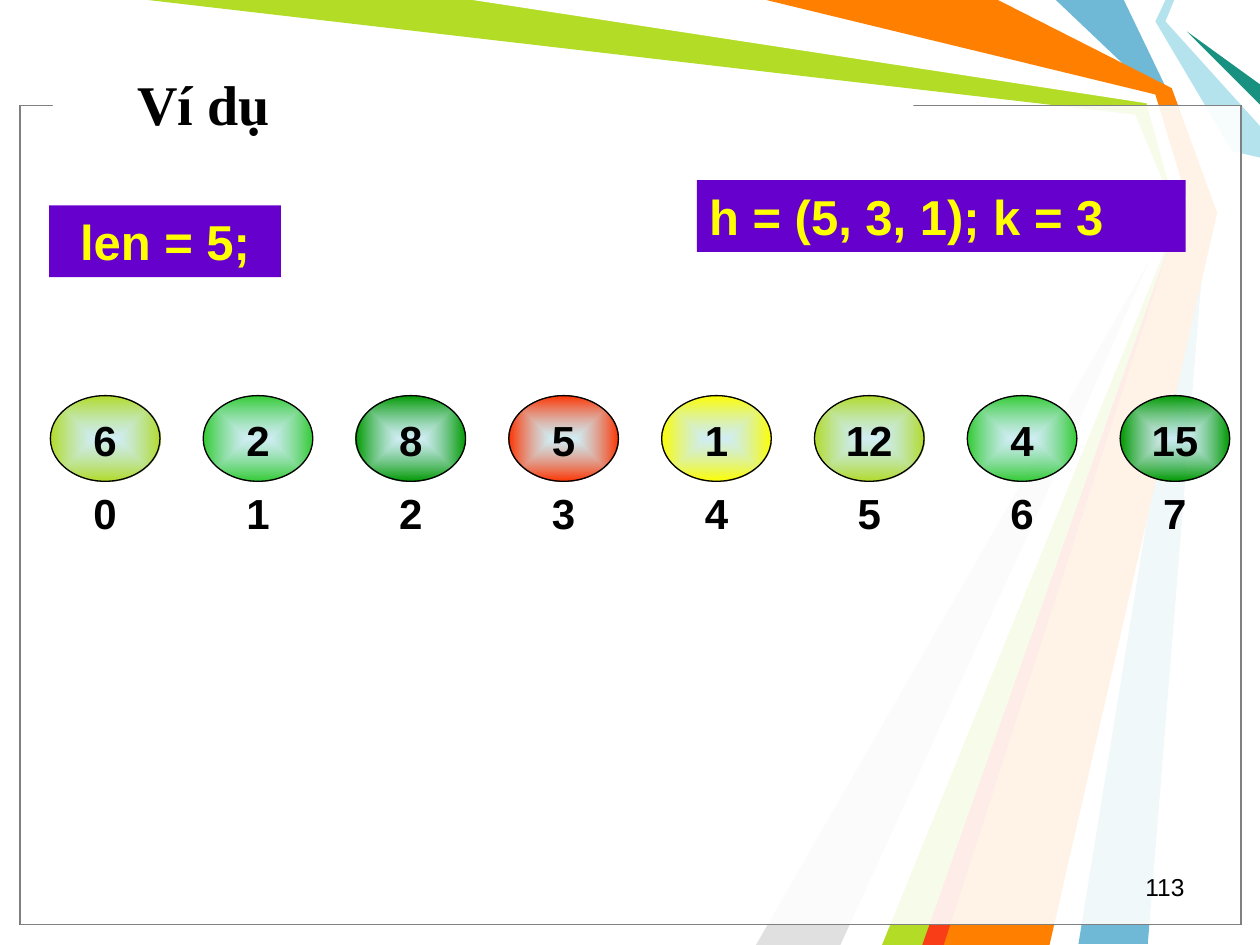
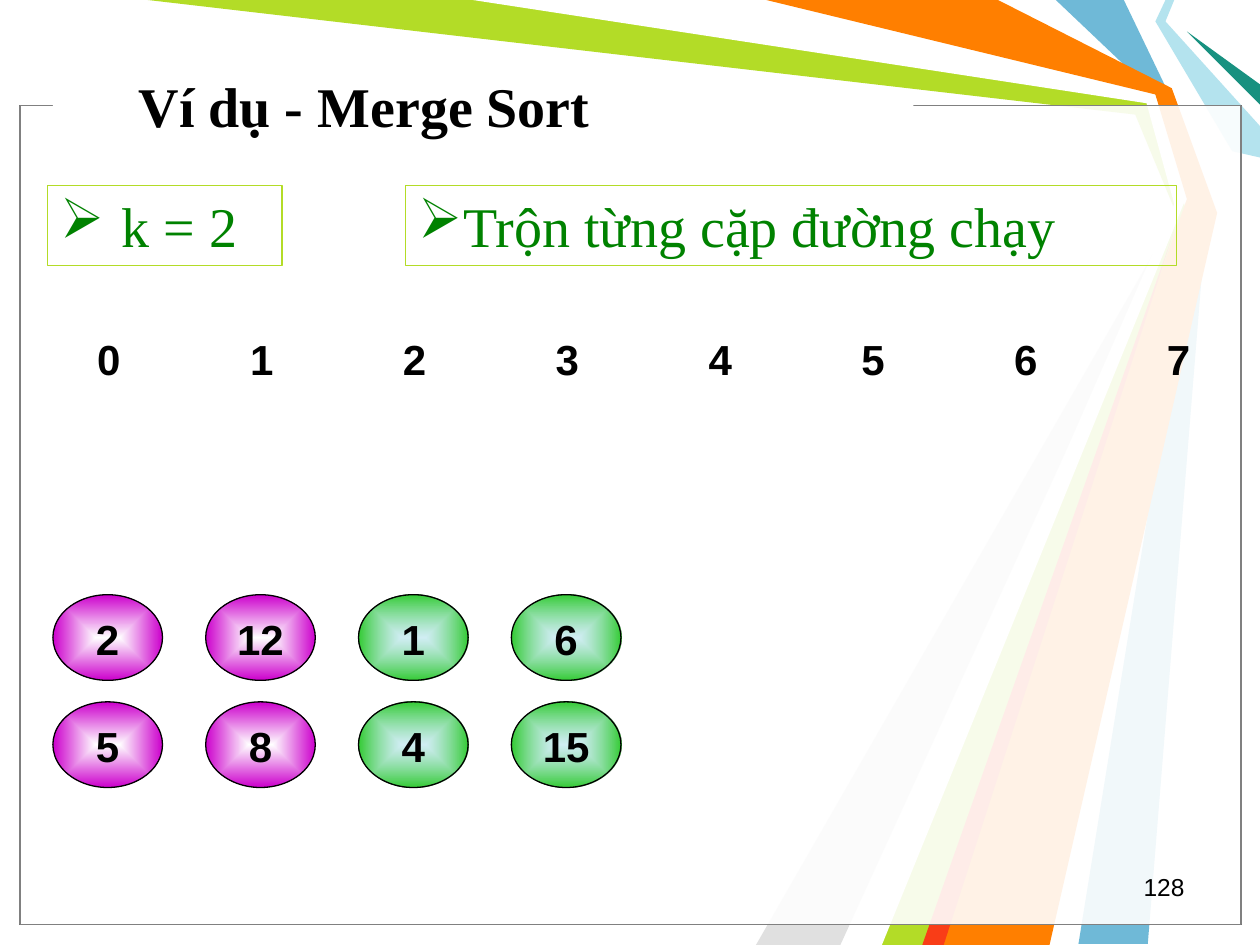
from lxml import etree
from pptx import Presentation, util as u
from pptx.dml.color import RGBColor
from pptx.enum import shapes as kinds, text
from pptx.oxml.ns import qn

rgb = RGBColor.from_string
SANS, SERIF = "Arial", "Times New Roman"
RECT, OVAL = kinds.MSO_SHAPE.RECTANGLE, kinds.MSO_SHAPE.OVAL
LEFT, MID, RIGHT = text.PP_ALIGN.LEFT, text.PP_ALIGN.CENTER, text.PP_ALIGN.RIGHT
WIDE, HIGH = 10, 7.5
STEP = 8.49 / 7  # column pitch of the array
ROW = 0.85
SKY, LIME, GREEN, DARK, PINK = "B4E3EE", "B3DC27", "33CC33", "009900", "CC00CC"

# Rays in hundredths of an inch, from back to front
RAYS = [
    ("6FB9D7", [(892, 0), (929, 77), (958, 167), (911, 749), (856, 749),
                (950, 167), (917, 75), (838, 0)]),
    (LIME, [(117, 0), (383, 0), (914, 78), (942, 169), (742, 750),
            (692, 750), (935, 173), (901, 91)]),
    ("E0E0E0", [(667, 750), (927, 181), (600, 750)]),
    ("FFFFFF", [(375, 0), (910, 82), (932, 162), (675, 750), (700, 750),
                (941, 158), (917, 75), (600, 0)]),
    (SKY, [(925, 0), (917, 17), (978, 120), (1000, 125), (1000, 100),
           (925, 17), (932, 0)]),
    ("189180", [(1000, 83), (942, 25), (1000, 67)]),
    ("FF7F00", [(608, 0), (792, 0), (930, 70), (966, 169), (833, 750),
                (733, 750), (942, 158), (917, 75)]),
    ("F93D17", [(732, 750), (932, 183), (749, 750)]),
]


def block(slide, kind, at, fill=None, line=None, alpha=None, glow=None):
    """Add a shape; glow is the centre colour of a gradient that ends in fill."""
    shape = slide.shapes.add_shape(kind, *map(u.Inches, at))
    shape.shadow.inherit = False
    if glow:
        shape.fill.gradient()
        for stop, tone in zip(shape.fill.gradient_stops, (glow, fill)):
            stop.color.rgb = rgb(tone)
        grad = next(shape.element.iter(qn("a:gradFill")))
        grad.remove(grad.find(qn("a:lin")))
        way = etree.SubElement(grad, qn("a:path"), path="shape")
        etree.SubElement(way, qn("a:fillToRect"), l="50000", t="50000", r="50000", b="50000")
    elif fill:
        shape.fill.solid()
        shape.fill.fore_color.rgb = rgb(fill)
    else:
        shape.fill.background()
    if alpha:
        tone = next(shape.element.iter(qn("a:srgbClr")))
        etree.SubElement(tone, qn("a:alpha"), val=str(alpha * 1000))
    if line:
        shape.line.color.rgb = rgb(line)
        shape.line.width = u.Pt(0.75)
    else:
        shape.line.fill.background()
    return shape


def write(shape, words, size, face=SANS, color="000000", bold=True, align=MID,
          anchor=text.MSO_ANCHOR.TOP, hang=None):
    """Set the text of a shape; hang is the width kept for an arrow bullet."""
    frame = shape.text_frame
    frame.word_wrap = True
    frame.vertical_anchor = anchor
    frame.text = words
    para = frame.paragraphs[0]
    para.alignment = align
    if hang:
        props = para._p.get_or_add_pPr()
        props.set("marL", str(u.Inches(hang)))
        props.set("indent", str(-u.Inches(hang)))
        etree.SubElement(props, qn("a:buChar"), char="➢")
    font = para.font
    font.size, font.name, font.bold = u.Pt(size), face, bold
    font.color.rgb = rgb(color)


deck = Presentation()
deck.slide_width, deck.slide_height = u.Inches(WIDE), u.Inches(HIGH)
plain = deck.slide_layouts[5]
pages = []
for name, num, at in [("Ví dụ", "113", (0.99, 0.47, 6.89, 0.7)),
                      ("Ví dụ - Merge Sort", "128", (1, 0.42, 6.89, 0.83))]:
    page = deck.slides.add_slide(plain)
    title = page.shapes.title
    title.left, title.top, title.width, title.height = map(u.Inches, at)
    write(title, name, 32, SERIF, align=LEFT, anchor=text.MSO_ANCHOR.MIDDLE)
    foot = page.shapes.add_textbox(*map(u.Inches, (7.17, 6.87, 2.33, 0.33)))
    write(foot, num, 14, bold=False, align=RIGHT)
    pages.append(page)
first, merge = pages

# Shared backdrop: drawn once, then moved to the layout
decor = []
for tone, dots in RAYS:
    pen = first.shapes.build_freeform(*dots[0], scale=u.Inches(0.01))
    pen.add_line_segments(dots[1:], close=True)
    ray = pen.convert_to_shape()
    ray.shadow.inherit = False
    ray.fill.solid()
    ray.fill.fore_color.rgb = rgb(tone)
    ray.line.fill.background()
    decor.append(ray)
for edge in ("000000", "808080"):
    decor.append(block(first, RECT, (0.16, 0.84, 9.69, 6.5), "FFFFFF", edge, alpha=69))
decor.append(block(first, RECT, (0.42, 0.74, 6.83, 0.17), "FFFFFF"))
for num, shape in enumerate(decor, 100):
    shape.element.xpath("./p:nvSpPr/p:cNvPr")[0].set("id", str(num))
    plain.shapes.element.append(shape.element)

# Index labels
for page, left, top in [(first, 0.4, 3.72), (merge, 0.43, 2.5)]:
    for col in range(8):
        spot = block(page, OVAL, (left + col * STEP, top, 0.87, 0.66))
        write(spot, str(col), 24)

# Balls: page, left, top, column, row, value, colour
balls = [(first, 0.4, 3.14, col, 0, *ball) for col, ball in enumerate([
    ("6", LIME), ("2", GREEN), ("8", DARK), ("5", "FF3300"),
    ("1", "FFFF00"), ("12", LIME), ("4", GREEN), ("15", DARK)])]
balls += [(merge, 0.42, 4.72, col, row, value, PINK if col < 2 else GREEN)
          for row, values in enumerate([("2", "12", "1", "6"), ("5", "8", "4", "15")])
          for col, value in enumerate(values)]
for page, left, top, col, row, value, tone in balls:
    at = (left + col * STEP, top + row * ROW, 0.87, 0.68)
    glow, alpha = ("FFFFFF", None) if tone == PINK else (SKY, 60)
    write(block(page, OVAL, at, tone, "000000", alpha, glow), value, 24)

for words, at, align in [("h = (5, 3, 1); k = 3", (5.53, 1.43, 3.88, 0.57), LEFT),
                         ("len = 5;", (0.39, 1.63, 1.84, 0.57), MID)]:
    write(block(first, RECT, at, "6600CC"), words, 28, color="FFFF00", align=align)

for words, left, width, hang in [("k = 2", 0.38, 1.86, 0.49),
                                 ("Trộn từng cặp đường chạy", 3.22, 6.12, 0.36)]:
    note = block(merge, RECT, (left, 1.47, width, 0.64), line=LIME)
    write(note, words, 32, SERIF, "008200", False, LEFT, hang=hang)

deck.save("out.pptx")
